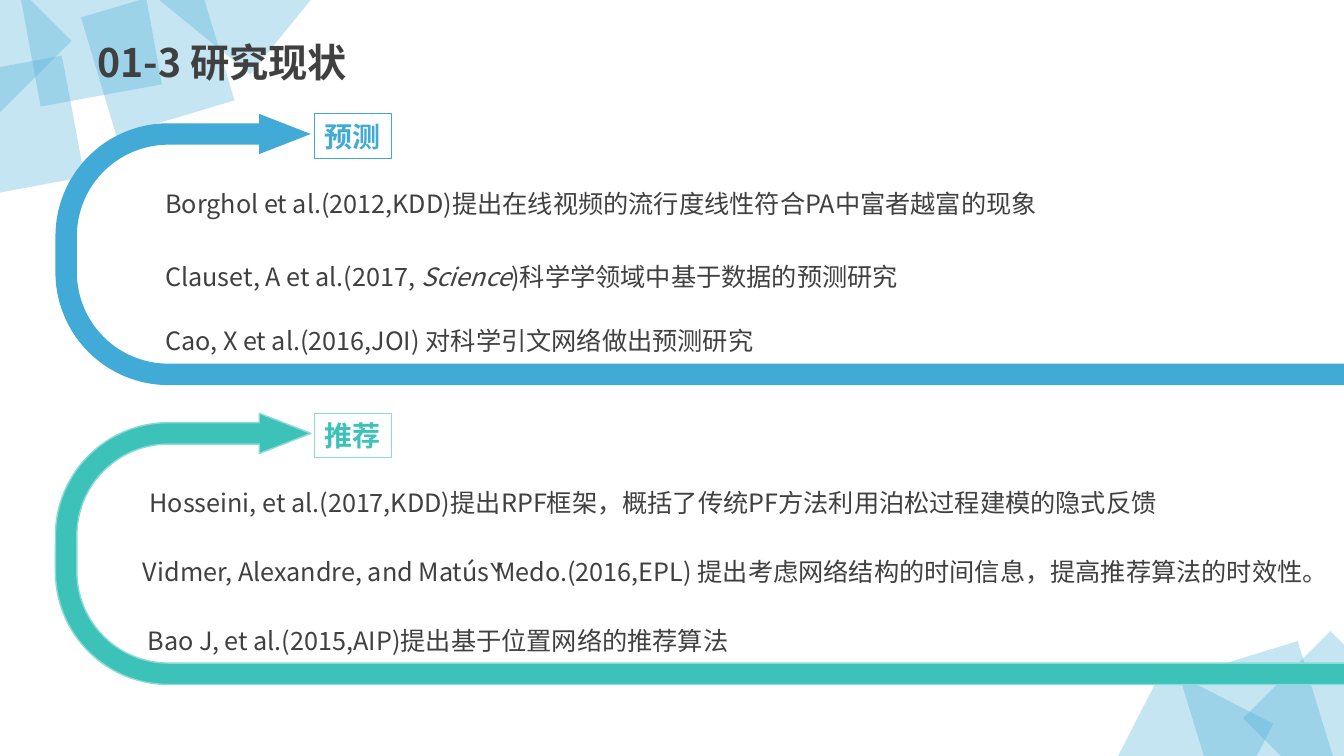
import pptx
import pptx.util
import pptx.dml.color
import pptx.enum.shapes
import pptx.enum.text
import pptx.oxml.ns
import lxml.etree

HUES = {"blue": "41AAD7", "teal": "3CC2B8", "mint": "8ADBD5", "ink": "404040"}
SANS = "Noto Sans CJK SC"
KINDS = pptx.enum.shapes.MSO_SHAPE
ANCHOR = pptx.enum.text.MSO_ANCHOR
qn = pptx.oxml.ns.qn

deck = pptx.Presentation()
deck.slide_width = pptx.util.Inches(13.33)
deck.slide_height = pptx.util.Inches(7.5)
cell = deck.slide_height / 90  # grid of 160 columns by 90 rows


def grid(*cells):
    return [round(n * cell) for n in cells]


def write(shape, text, size=18, hue="ink", font=SANS, bold=False, slant=False, lead=1.0):
    """Add a run to the shape's first paragraph."""
    para = shape.text_frame.paragraphs[0]
    para.alignment = pptx.enum.text.PP_ALIGN.LEFT
    para.line_spacing = lead
    para.space_before = pptx.util.Pt(0)
    run = para.add_run()
    run.text = text
    run.font.size = pptx.util.Pt(size)
    run.font.bold, run.font.italic = bold, slant
    run.font.color.rgb = pptx.dml.color.RGBColor.from_string(HUES[hue])
    run.font.name = font
    east = lxml.etree.SubElement(run.font._element, qn("a:ea"))
    east.set("typeface", SANS)


slide = deck.slides.add_slide(deck.slide_layouts[5])
shapes = slide.shapes

# Translucent diamonds in two corners: left, top, turn
diamonds = [
    (-8.88, 4.8, 34.4), (8.4, -3.36, 28.4), (0.36, -6.24, 304.6),
    (18.36, -11.88, 354.2), (131.28, 78.96, 342.2), (-12.24, -5.52, 270),
    (139.2, 75.12, 28), (147.96, 75.12, 270),
]
for left, top, turn in diamonds:
    gem = shapes.add_shape(KINDS.DIAMOND, *grid(left, top, 20.76, 20.76))
    gem.rotation = turn
    gem.shadow.inherit = False
    gem.line.fill.background()
    gem.fill.solid()
    gem.fill.fore_color.rgb = pptx.dml.color.RGBColor.from_string(HUES["blue"])
    tint = gem.element.spPr.find(qn("a:solidFill"))[0]
    lxml.etree.SubElement(tint, qn("a:alpha")).set("val", "30000")

# Title, in front of the diamonds
title = shapes.title
title.element.getparent().append(title.element)
title.left, title.top, title.width, title.height = grid(10.44, 4.8, 46.68, 5.76)
title.text_frame.auto_size = pptx.enum.text.MSO_AUTO_SIZE.NONE
title.text_frame.vertical_anchor = ANCHOR.MIDDLE
write(title, "01-3 研究现状", size=28, bold=True, lead=0.9)

# Each topic: label, hue, edge, arrow outline, rows of (left, nudge, runs)
topics = [
    ("预测", "blue", "blue", False, [
        (18.48, 0, ["Borghol et al.(2012,KDD)提出在线视频的流行度线性符合PA中富者越富的现象"]),
        (18.48, 0.48, ["Clauset, A et al.(2017, ", "Science", ")科学学领域中基于数据的预测研究"]),
        (18.48, 0, ["Cao, X et al.(2016,JOI) 对科学引文网络做出预测研究"]),
    ]),
    ("推荐", "teal", "mint", True, [
        (16.6, 0, ["Hosseini, et al.(2017,KDD)提出RPF框架，概括了传统PF方法利用泊松过程建模的隐式反馈"]),
        (15.84, 0, ["Vidmer, Alexandre, and Matúš Medo.(2016,EPL) "
                    "提出考虑网络结构的时间信息，提高推荐算法的时效性。"]),
        (16.4, 0, ["Bao J, et al.(2015,AIP)提出基于位置网络的推荐算法"]),
    ]),
]
for order, (label, hue, edge, lined, rows) in enumerate(topics):
    base = 35.64 * order
    rim = pptx.dml.color.RGBColor.from_string(HUES[edge])

    arrow = shapes.add_shape(KINDS.U_TURN_ARROW, *grid(67.2, base - 47.04, 32.28, 153.48))
    for spot, share in enumerate([0.079, 0.074, 0.19, 0.416, 0.198]):
        arrow.adjustments[spot] = share
    arrow.rotation = 270
    arrow.shadow.inherit = False
    arrow.fill.solid()
    arrow.fill.fore_color.rgb = pptx.dml.color.RGBColor.from_string(HUES[hue])
    if lined:
        arrow.line.color.rgb = rim
        arrow.line.width = pptx.util.Pt(1)
    else:
        arrow.line.fill.background()

    tag = shapes.add_shape(KINDS.RECTANGLE, *grid(37.44, base + 13.56, 9.12, 5.28))
    tag.shadow.inherit = False
    tag.fill.background()
    tag.line.color.rgb = rim
    tag.line.width = pptx.util.Pt(0.75)
    tag.text_frame.word_wrap = False
    tag.text_frame.vertical_anchor = ANCHOR.MIDDLE
    write(tag, label, size=20, hue=hue, font="Quicksand", bold=True)

    for row, (left, nudge, runs) in enumerate(rows):
        top = base + 20.76 + 8.16 * row + nudge
        box = shapes.add_textbox(*grid(left, top, 160 - left, 5.88))
        box.text_frame.word_wrap = True
        for text in runs:
            write(box, text, slant=text == "Science", lead=1.3)

deck.save("out.pptx")
